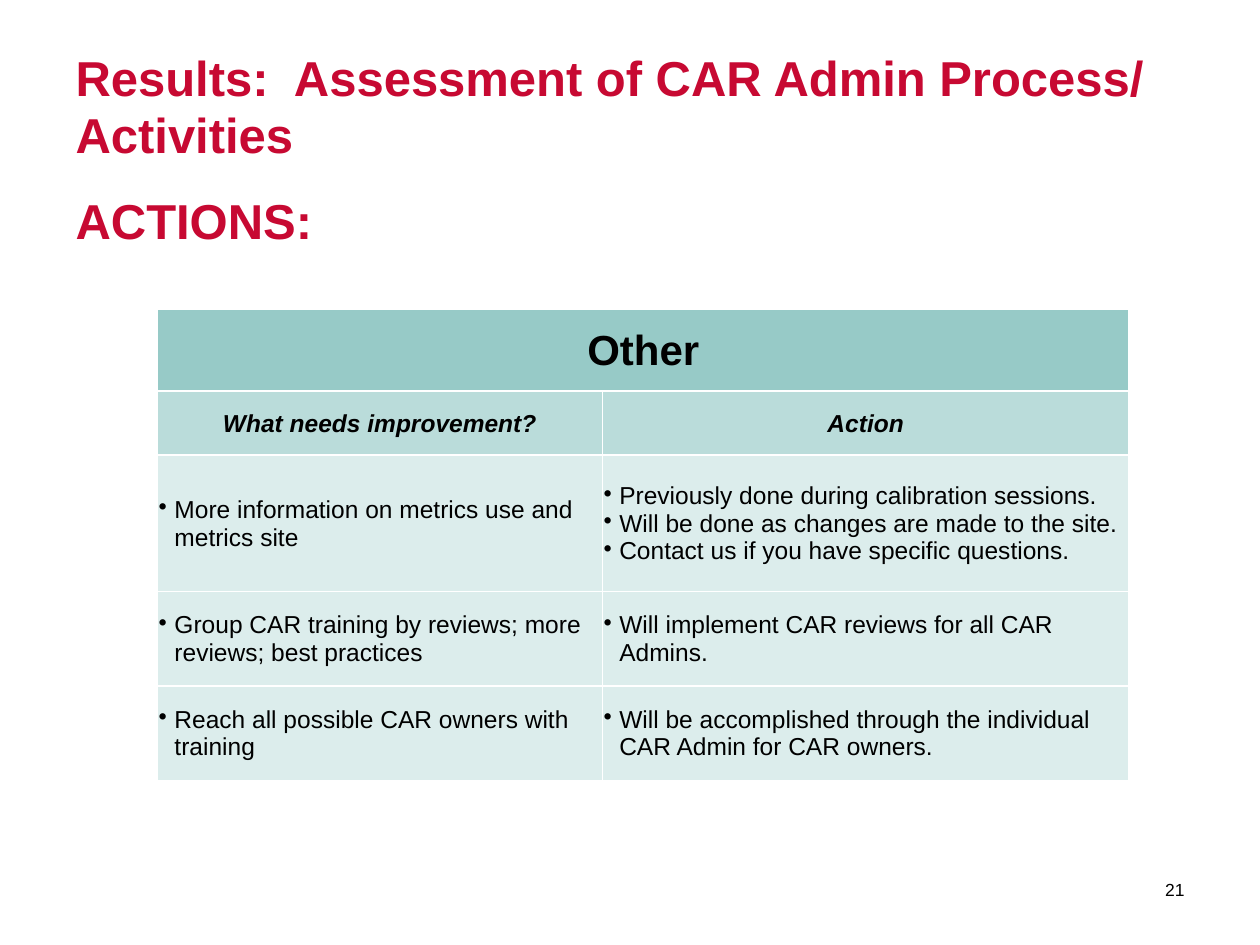
from dataclasses import dataclass

from lxml import etree
from pptx import Presentation
from pptx.dml.color import RGBColor
from pptx.enum.text import MSO_ANCHOR, MSO_AUTO_SIZE, PP_ALIGN
from pptx.oxml.ns import qn
from pptx.util import Pt

TOP, MIDDLE = MSO_ANCHOR.TOP, MSO_ANCHOR.MIDDLE
LEFT, CENTER, RIGHT = PP_ALIGN.LEFT, PP_ALIGN.CENTER, PP_ALIGN.RIGHT
NO_FIT = MSO_AUTO_SIZE.NONE

COLORS = {
    "title": "C70932",
    "text": "000000",
    "heading": "97CAC7",
    "subheading": "BADCDA",
    "body": "DCEDEC",
    "border": "FFFFFF",
}
FONT = "Arial"
COLUMNS = (254.2, 301)
BULLET_INDENT = 9


@dataclass
class TextStyle:
    size: float
    color: str = "text"
    bold: bool = False
    italic: bool = False
    align: PP_ALIGN = LEFT
    bullet: bool = False


@dataclass
class TableRow:
    height: float
    fill: str
    style: TextStyle
    cells: list[list[str]]


TITLE = TextStyle(28, "title", bold=True)
NUMBER = TextStyle(10, align=RIGHT)
HEADING = TextStyle(24, bold=True, align=CENTER)
SUBHEADING = TextStyle(14, bold=True, italic=True, align=CENTER)
BODY = TextStyle(14, bullet=True)

ROWS = [
    TableRow(46.8, "heading", HEADING, [["Other"]]),
    TableRow(36.7, "subheading", SUBHEADING, [["What needs improvement?"], ["Action"]]),
    TableRow(77.8, "body", BODY, [
        ["More information on metrics use and metrics site"],
        ["Previously done during calibration sessions.",
         "Will be done as changes are made to the site.",
         "Contact us if you have specific questions."],
    ]),
    TableRow(54, "body", BODY, [
        ["Group CAR training by reviews; more reviews; best practices"],
        ["Will implement CAR reviews for all CAR Admins."],
    ]),
    TableRow(54, "body", BODY, [
        ["Reach all possible CAR owners with training"],
        ["Will be accomplished through the individual CAR Admin for CAR owners."],
    ]),
]


def set_attrs(target, values: dict) -> None:
    for name, value in values.items():
        setattr(target, name, value)


def add_bullet(p) -> None:
    pPr = p._p.get_or_add_pPr()
    pPr.set("marL", str(Pt(BULLET_INDENT)))
    pPr.set("indent", str(-Pt(BULLET_INDENT)))
    etree.SubElement(pPr, qn("a:buChar")).set("char", "•")


def write_text(tf, lines: list[str], style: TextStyle) -> None:
    for i, line in enumerate(lines):
        p = tf.paragraphs[0] if i == 0 else tf.add_paragraph()
        p.alignment = style.align
        if style.bullet:
            add_bullet(p)
        r = p.add_run()
        r.text = line
        set_attrs(r.font, {"name": FONT, "size": Pt(style.size),
                           "bold": style.bold, "italic": style.italic})
        r.font.color.rgb = RGBColor.from_string(COLORS[style.color])


def add_borders(cell) -> None:
    tcPr = cell._tc.get_or_add_tcPr()
    for i, side in enumerate(("lnL", "lnR", "lnT", "lnB")):
        ln = etree.Element(qn(f"a:{side}"), w=str(Pt(1)))
        fill = etree.SubElement(ln, qn("a:solidFill"))
        etree.SubElement(fill, qn("a:srgbClr")).set("val", COLORS["border"])
        tcPr.insert(i, ln)


def add_title(s) -> None:
    sp = s.shapes.title
    set_attrs(sp, {"left": Pt(36), "top": Pt(21.6), "width": Pt(648), "height": Pt(75)})
    tf = sp.text_frame
    set_attrs(tf, {"word_wrap": True, "auto_size": NO_FIT, "vertical_anchor": TOP,
                   "margin_left": Pt(7.2), "margin_right": Pt(7.2), "margin_top": Pt(6)})
    write_text(tf, ["Results:  Assessment of CAR Admin Process/ Activities", "ACTIONS:"], TITLE)
    for p in tf.paragraphs:
        p.line_spacing = Pt(33)
    tf.paragraphs[1].space_before = Pt(16)


def add_actions_table(s) -> None:
    height = sum(row.height for row in ROWS)
    frame = s.shapes.add_table(len(ROWS), len(COLUMNS), Pt(90), Pt(176.6),
                               Pt(sum(COLUMNS)), Pt(height))
    table = frame.table
    set_attrs(table, {"first_row": False, "horz_banding": False})
    for column, width in zip(table.columns, COLUMNS):
        column.width = Pt(width)
    table.cell(0, 0).merge(table.cell(0, 1))
    for i, row in enumerate(ROWS):
        table.rows[i].height = Pt(row.height)
        for cell in table.rows[i].cells:
            set_attrs(cell, {"vertical_anchor": MIDDLE, "margin_left": Pt(0.7),
                             "margin_right": Pt(0.7), "margin_top": Pt(0.7),
                             "margin_bottom": Pt(0)})
            cell.fill.solid()
            cell.fill.fore_color.rgb = RGBColor.from_string(COLORS[row.fill])
            add_borders(cell)
        for j, lines in enumerate(row.cells):
            write_text(table.cell(i, j).text_frame, lines, row.style)


def add_slide_number(s) -> None:
    sp = s.shapes.add_textbox(Pt(633.6), Pt(494), Pt(50.4), Pt(28.8))
    tf = sp.text_frame
    set_attrs(tf, {"word_wrap": True, "vertical_anchor": MIDDLE})
    write_text(tf, ["21"], NUMBER)


def main() -> None:
    prs = Presentation()
    set_attrs(prs, {"slide_width": Pt(720), "slide_height": Pt(540)})
    s = prs.slides.add_slide(prs.slide_layouts[5])
    add_title(s)
    add_slide_number(s)
    add_actions_table(s)
    prs.save("out.pptx")


if __name__ == "__main__":
    main()
